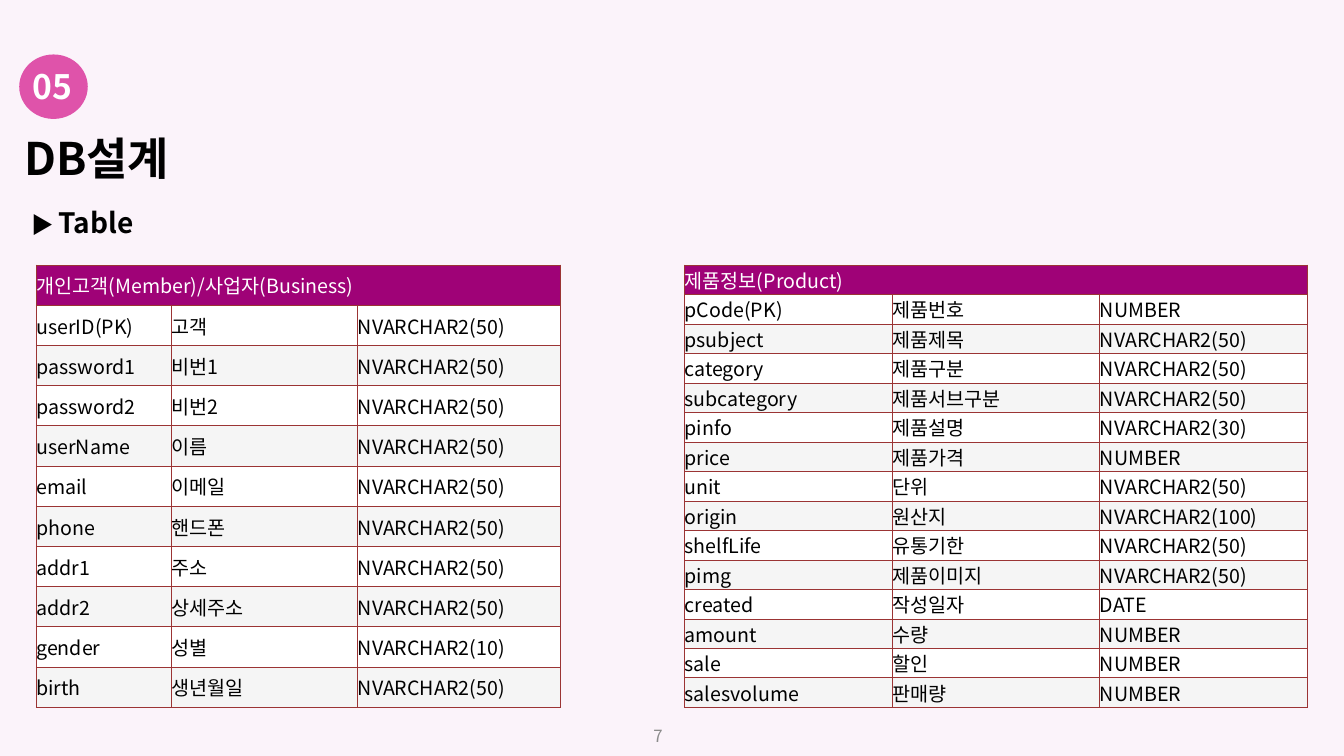
from dataclasses import dataclass

from lxml.etree import SubElement
from pptx import Presentation
from pptx.dml.color import RGBColor
from pptx.enum.shapes import MSO_SHAPE as Shape
from pptx.enum.text import MSO_ANCHOR as Anchor, PP_ALIGN as Align
from pptx.oxml.ns import qn
from pptx.util import Inches, Length, Pt

FONT = "Noto Sans CJK KR"
BACKGROUND = RGBColor(0xFB, 0xF3, 0xFA)
PINK = RGBColor(0xDF, 0x53, 0xAA)
PURPLE = RGBColor(0x9F, 0x02, 0x77)
BORDER = RGBColor(0x9B, 0x34, 0x34)
BLACK = RGBColor(0x00, 0x00, 0x00)
WHITE = RGBColor(0xFF, 0xFF, 0xFF)
BAND = RGBColor(0xF5, 0xF5, 0xF5)
GRAY = RGBColor(0x8C, 0x8C, 0x8C)

WIDTH, HEIGHT = Inches(13.33), Inches(7.5)
NO_MARGINS = dict.fromkeys(("margin_left", "margin_right", "margin_top", "margin_bottom"), 0)


@dataclass
class Box:
    """Position and size in percent of the slide."""
    left: float
    top: float
    width: float
    height: float

    def lengths(self) -> tuple[Length, ...]:
        return (across(self.left), down(self.top), across(self.width), down(self.height))


@dataclass
class Run:
    text: str
    size: float
    color: RGBColor
    bold: bool = False


@dataclass
class Label:
    box: Box
    runs: list[Run]
    frame_format: dict
    paragraph_format: dict


@dataclass
class SchemaTable:
    title: str
    left: float
    columns: tuple[float, ...]
    fields: list[tuple[str, str, str]]


def across(percent: float) -> Length:
    return Length(round(WIDTH * percent / 100))


def down(percent: float) -> Length:
    return Length(round(HEIGHT * percent / 100))


def apply(target, values: dict) -> None:
    for name, value in values.items():
        setattr(target, name, value)


def add_run(paragraph, item: Run) -> None:
    run = paragraph.add_run()
    run.text = item.text
    apply(run.font, {"size": Pt(item.size), "bold": item.bold, "name": FONT})
    run.font.color.rgb = item.color
    SubElement(run.font._element, qn("a:ea"), typeface=FONT)


def add_label(slide, label: Label) -> None:
    frame = slide.shapes.add_textbox(*label.box.lengths()).text_frame
    apply(frame, {"word_wrap": True} | label.frame_format)
    paragraph = frame.paragraphs[0]
    apply(paragraph, label.paragraph_format)
    for item in label.runs:
        add_run(paragraph, item)


def add_borders(cell) -> None:
    properties = cell._tc.get_or_add_tcPr()
    for side in ("lnL", "lnR", "lnT", "lnB"):
        line = SubElement(properties, qn(f"a:{side}"), w=str(Pt(0.75)))
        fill = SubElement(line, qn("a:solidFill"))
        SubElement(fill, qn("a:srgbClr"), val=str(BORDER))


def add_schema_table(slide, schema: SchemaTable) -> None:
    rows = [(schema.title, "", ""), *schema.fields]
    box = Box(schema.left, TABLE_TOP, sum(schema.columns), TABLE_HEIGHT)
    table = slide.shapes.add_table(len(rows), len(schema.columns), *box.lengths()).table
    for column, width in zip(table.columns, schema.columns):
        column.width = across(width)
    for index, texts in enumerate(rows):
        table.rows[index].height = down(TABLE_HEIGHT / len(rows))
        fill = PURPLE if index == 0 else WHITE if index % 2 else BAND
        for cell, text in zip(table.rows[index].cells, texts):
            apply(cell, NO_MARGINS | {"vertical_anchor": Anchor.MIDDLE})
            add_borders(cell)
            cell.fill.solid()
            cell.fill.fore_color.rgb = fill
            add_run(cell.text_frame.paragraphs[0], Run(text, 14, BLACK if index else WHITE))
    table.cell(0, 0).merge(table.cell(0, len(schema.columns) - 1))


def add_badge(slide, box: Box) -> None:
    badge = slide.shapes.add_shape(Shape.OVAL, *box.lengths())
    badge.shadow.inherit = False
    badge.fill.solid()
    badge.fill.fore_color.rgb = PINK
    badge.line.fill.background()


TABLE_TOP, TABLE_HEIGHT = 35.07, 58.53
TEXT50 = "NVARCHAR2(50)"
BADGE = Box(1.43, 7.2, 5.1, 8.53)

LABELS = [
    # Section number
    Label(Box(2.1, 8.67, 3.6, 6.53), [Run("05", 24, WHITE, True)],
          NO_MARGINS | {"word_wrap": False}, {"alignment": Align.CENTER}),
    # Title
    Label(Box(1.05, 1.87, 48.31, 23.33), [Run("DB설계", 32, BLACK, True)],
          {"vertical_anchor": Anchor.BOTTOM}, {"line_spacing": 0.9}),
    # Subtitle
    Label(Box(1.58, 25.6, 50.56, 8), [Run("▶ ", 16, BLACK), Run("Table", 20, BLACK, True)],
          {}, {"line_spacing": 1.2, "space_before": Pt(10)}),
    # Page number
    Label(Box(27.53, 94.67, 22.51, 5.33), [Run("7", 12, GRAY)],
          {"vertical_anchor": Anchor.MIDDLE}, {"alignment": Align.RIGHT}),
]

TABLES = [
    SchemaTable("개인고객(Member)/사업자(Business)", 2.7, (10.05, 13.88, 15.08), [
        ("userID(PK)", "고객", TEXT50),
        ("password1", "비번1", TEXT50),
        ("password2", "비번2", TEXT50),
        ("userName", "이름", TEXT50),
        ("email", "이메일", TEXT50),
        ("phone", "핸드폰", TEXT50),
        ("addr1", "주소", TEXT50),
        ("addr2", "상세주소", TEXT50),
        ("gender", "성별", "NVARCHAR2(10)"),
        ("birth", "생년월일", TEXT50),
    ]),
    SchemaTable("제품정보(Product)", 50.94, (15.45,) * 3, [
        ("pCode(PK)", "제품번호", "NUMBER"),
        ("psubject", "제품제목", TEXT50),
        ("category", "제품구분", TEXT50),
        ("subcategory", "제품서브구분", TEXT50),
        ("pinfo", "제품설명", "NVARCHAR2(30)"),
        ("price", "제품가격", "NUMBER"),
        ("unit", "단위", TEXT50),
        ("origin", "원산지", "NVARCHAR2(100)"),
        ("shelfLife", "유통기한", TEXT50),
        ("pimg", "제품이미지", TEXT50),
        ("created", "작성일자", "DATE"),
        ("amount", "수량", "NUMBER"),
        ("sale", "할인", "NUMBER"),
        ("salesvolume", "판매량", "NUMBER"),
    ]),
]


def main() -> None:
    presentation = Presentation()
    apply(presentation, {"slide_width": WIDTH, "slide_height": HEIGHT})
    slide = presentation.slides.add_slide(presentation.slide_layouts[6])
    slide.background.fill.solid()
    slide.background.fill.fore_color.rgb = BACKGROUND
    add_badge(slide, BADGE)
    for label in LABELS:
        add_label(slide, label)
    for schema in TABLES:
        add_schema_table(slide, schema)
    presentation.save("out.pptx")


if __name__ == "__main__":
    main()
